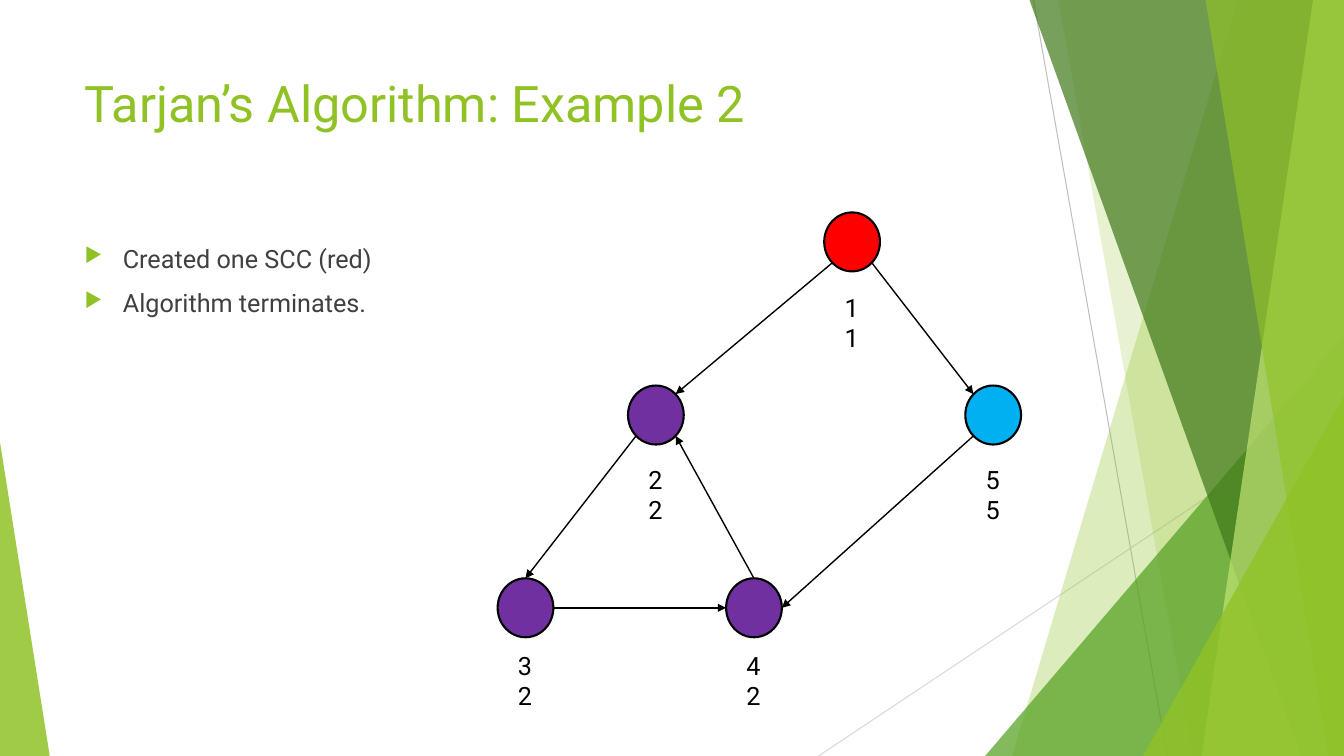
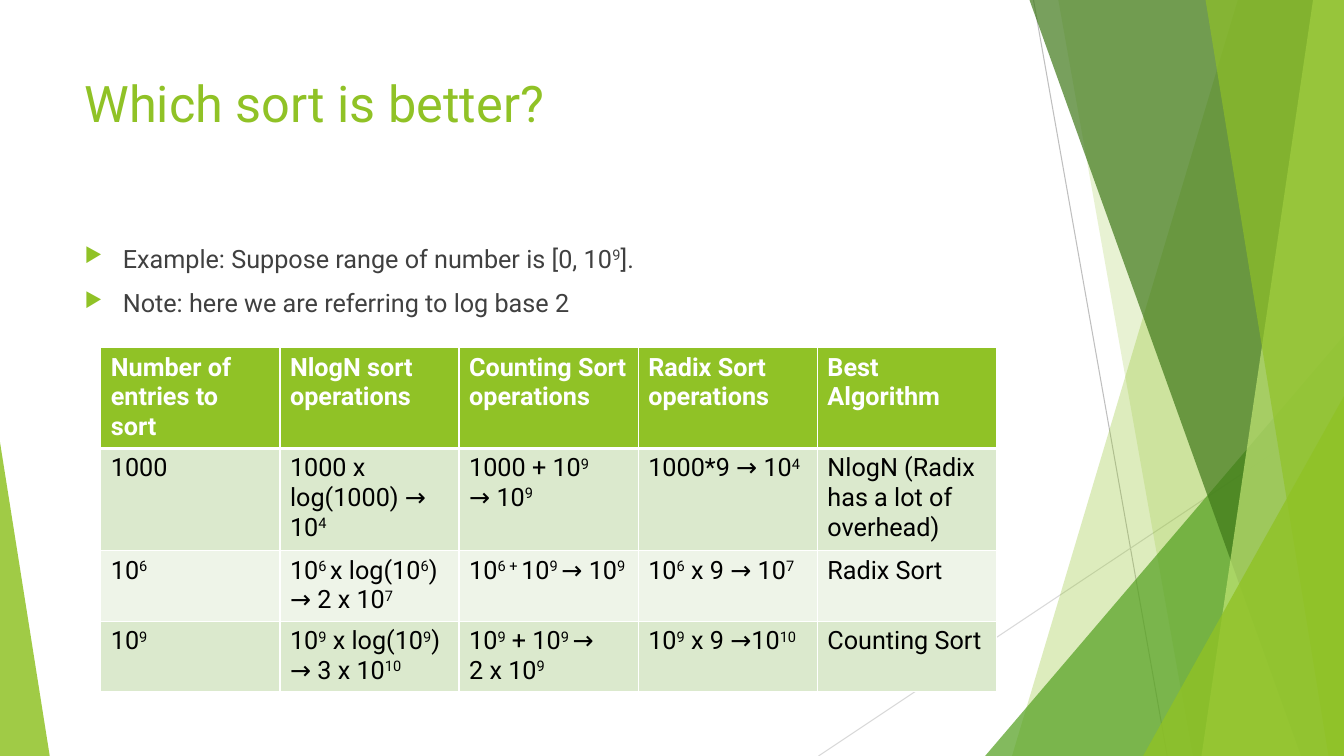
from lxml.etree import SubElement, Element
from pptx import Presentation
from pptx.dml.color import RGBColor
from pptx.enum.shapes import MSO_CONNECTOR as CONN, MSO_SHAPE as SHAPE
from pptx.oxml.ns import qn
from pptx.util import Emu, Inches, Pt

W, H = Inches(13.333), Inches(7.5)
COLORS = {
    "lime": "90C226", "leaf": "54A021", "forest": "3F7819", "pale": "C0E474",
    "grey": "BFBFBF", "silver": "D9D9D9", "text": "404040", "black": "000000",
    "white": "FFFFFF", "purple": "7030A0", "red": "FF0000", "blue": "00B0F0",
    "band": "DBE9CD", "light": "EEF4E8",
}
BASE = {"name": "Roboto", "size": Pt(18)}
FORMATS = {
    "title": ("lime", {**BASE, "size": Pt(36)}),
    "body": ("text", BASE),
    "label": ("black", BASE),
    "head": ("white", {**BASE, "bold": True}),
    "cell": ("black", {**BASE, "bold": False}),
}
LEFT, WIDE = 5.55, 70.5
NODE_W, NODE_H = 4.15, 7.8
SITES = {"n": (0, -1), "e": (1, 0), "w": (-1, 0), "ne": (0.71, -0.71),
         "nw": (-0.71, -0.71), "se": (0.71, 0.71), "sw": (-0.71, 0.71)}

RAYS = [((76.9, 0), (86.85, 100), "grey"), ((100, 53.7), (60.9, 100), "silver")]
FACETS = [
    ("band", 92.1, 75.3, "lime", 30),
    ("band", 78.75, 88.75, "lime", 20),
    ("corner", 73.3, 44.4, "leaf", 72),
    ("band", 76.6, 96.8, "forest", 70),
    ("band", 97.7, 89.4, "pale", 70),
    ("band", 89.7, 98.85, "lime", 65),
    ("corner", 85.05, 52.4, "lime", 80),
]
NODES = {
    2: (48.8, 54.9, "purple", 60.7, "2\n2"),
    1: (63.4, 32, "red", 38, "1\n1"),
    5: (73.9, 54.9, "blue", 60.7, "5\n5"),
    4: (56.1, 80.4, "purple", 85.3, "4\n2"),
    3: (39.1, 80.4, "purple", 85.3, "3\n2"),
}
EDGES = [(1, "sw", 2, "ne"), (2, "sw", 3, "n"), (3, "e", 4, "w"),
         (4, "n", 2, "se"), (5, "sw", 4, "e"), (1, "se", 5, "nw")]
SORTS = [
    ["Number of entries to sort", "NlogN sort operations", "Counting Sort operations",
     "Radix Sort operations", "Best Algorithm"],
    ["1000", "1000 x log(1000) → 10^4", "1000 + 10^9^\n→ 10^9", "1000*9 → 10^4",
     "NlogN (Radix has a lot of overhead)"],
    ["10^6", "10^6 ^x log(10^6^) → 2 x 10^7", "10^6 + ^10^9 ^→ 10^9",
     "10^6^ x 9 → 10^7", "Radix Sort"],
    ["10^9", "10^9^ x log(10^9^) → 3 x 10^10", "10^9^ + 10^9 ^→\n2 x 10^9",
     "10^9^ x 9 →10^10", "Counting Sort"],
]


def col(share):
    """Turn a percentage of the slide's width into a length."""
    return Emu(round(W * share / 100))


def row(share):
    """Turn a percentage of the slide's height into a length."""
    return Emu(round(H * share / 100))


def box(x, y, w, h):
    """Turn four percentages into left, top, width and height."""
    return col(x), row(y), col(w), row(h)


def rgb(name):
    """Look up a named colour."""
    return RGBColor.from_string(COLORS[name])


def write(tf, text, kind):
    """Write lines as paragraphs; carets switch superscript on and off."""
    color, fmt = FORMATS[kind]
    for i, line in enumerate(text.split("\n")):
        p = tf.add_paragraph() if i else tf.paragraphs[0]
        for j, part in enumerate(line.split("^")):
            if not part:
                continue
            r = p.add_run()
            r.text = part
            for key, value in fmt.items():
                setattr(r.font, key, value)
            r.font.color.rgb = rgb(color)
            if j % 2:
                r.font._element.set("baseline", "30000")


def add_text(s, area, text, kind, wrap=True):
    """Add a text box and return its frame."""
    tf = s.shapes.add_textbox(*box(*area)).text_frame
    tf.word_wrap = wrap
    write(tf, text, kind)
    return tf


def add_bullets(s, area, text):
    """Add a list with triangular bullets."""
    for i, p in enumerate(add_text(s, area, text, "body").paragraphs):
        p.space_before = Pt(10 if i else 0)
        pPr = p._p.get_or_add_pPr()
        pPr.set("marL", str(Inches(0.38)))
        pPr.set("indent", str(-Inches(0.38)))
        SubElement(SubElement(pPr, qn("a:buClr")), qn("a:srgbClr"), val=COLORS["lime"])
        SubElement(pPr, qn("a:buSzPct"), val="80000")
        SubElement(pPr, qn("a:buChar"), char="▶")


def paint(sp, color, alpha=100, outline=None):
    """Fill a shape, with optional transparency and outline."""
    sp.shadow.inherit = False
    sp.fill.solid()
    sp.fill.fore_color.rgb = rgb(color)
    if alpha < 100:
        clr = sp._element.spPr.find(".//" + qn("a:srgbClr"))
        SubElement(clr, qn("a:alpha"), val=str(alpha * 1000))
    if outline:
        sp.line.color.rgb = rgb(outline)
        sp.line.width = Pt(1.5)
    else:
        sp.line.fill.background()


def add_line(s, start, end, color, width, arrow=False):
    """Add a straight line, with an arrowhead if asked."""
    sp = s.shapes.add_connector(CONN.STRAIGHT, col(start[0]), row(start[1]),
                                col(end[0]), row(end[1]))
    sp.line.color.rgb = rgb(color)
    sp.line.width = Pt(width)
    if arrow:
        SubElement(sp.line._get_or_add_ln(), qn("a:tailEnd"), type="triangle")
    SubElement(sp._element.spPr, qn("a:effectLst"))


def add_band(s, top, bottom, color, alpha):
    """Add a full-height band from a slanted edge to the right side."""
    fb = s.shapes.build_freeform(col(top), 0)
    fb.add_line_segments([(W, 0), (W, H), (col(bottom), H)])
    paint(fb.convert_to_shape(), color, alpha)


def add_corner(s, x, y, w, peak, color, alpha):
    """Add a right triangle standing on the bottom edge."""
    sp = s.shapes.add_shape(SHAPE.ISOSCELES_TRIANGLE, *box(x, y, w, 100 - y))
    sp.adjustments[0] = peak
    paint(sp, color, alpha)


def add_slide(prs, title):
    """Add a slide with the shared facets and title."""
    s = prs.slides.add_slide(prs.slide_layouts[6])
    for start, end, color in RAYS:
        add_line(s, start, end, color, 0.75)
    for kind, x, other, color, alpha in FACETS:
        if kind == "band":
            add_band(s, x, other, color, alpha)
        else:
            add_corner(s, x, other, 100 - x, 1, color, alpha)
    add_corner(s, 0, 58.5, 3.7, 0, "lime", 85)
    add_text(s, (LEFT, 8.9, WIDE, 19.2), title, "title")
    return s


def site(node, side):
    """Find the point on a node's rim that faces a side."""
    x, y = NODES[node][:2]
    dx, dy = SITES[side]
    return x + dx * NODE_W / 2, y + dy * NODE_H / 2


def add_graph(s):
    """Draw the nodes, their labels and the edges."""
    for x, y, color, label_y, label in NODES.values():
        area = box(x - NODE_W / 2, y - NODE_H / 2, NODE_W, NODE_H)
        paint(s.shapes.add_shape(SHAPE.OVAL, *area), color, outline="black")
        add_text(s, (x - 1.3, label_y, 2.6, 9.4), label, "label", wrap=False)
    for a, a_side, b, b_side in EDGES:
        add_line(s, site(a, a_side), site(b, b_side), "black", 1, arrow=True)


def set_borders(cell, widths):
    """Give a cell white left, right, top and bottom borders."""
    tcPr = cell._tc.get_or_add_tcPr()
    for i, (side, width) in enumerate(zip("LRTB", widths)):
        ln = Element(qn(f"a:ln{side}"), w=str(Pt(width)))
        SubElement(SubElement(ln, qn("a:solidFill")), qn("a:srgbClr"), val=COLORS["white"])
        tcPr.insert(i, ln)


def add_grid(s, x, y, width, heights, rows):
    """Add a table with a header row and banded body rows."""
    area = box(x, y, width * len(rows[0]), sum(heights))
    table = s.shapes.add_table(len(rows), len(rows[0]), *area).table
    table.horz_banding = False
    for c in table.columns:
        c.width = col(width)
    for i, (height, texts) in enumerate(zip(heights, rows)):
        table.rows[i].height = row(height)
        fill = ("light", "band")[i % 2] if i else "lime"
        for j, text in enumerate(texts):
            cell = table.cell(i, j)
            write(cell.text_frame, text, "cell" if i else "head")
            cell.fill.solid()
            cell.fill.fore_color.rgb = rgb(fill)
            set_borders(cell, (1, 1, 3 if i == 1 else 1, 1 if i else 3))


def main():
    """Build both slides and save them."""
    prs = Presentation()
    prs.slide_width, prs.slide_height = W, H
    s = add_slide(prs, "Tarjan’s Algorithm: Example 2")
    add_graph(s)
    add_bullets(s, (LEFT, 31.5, 27.6, 63.2), "Created one SCC (red)\nAlgorithm terminates.")
    s = add_slide(prs, "Which sort is better?")
    add_bullets(s, (LEFT, 31.5, WIDE, 56.5),
                "Example: Suppose range of number is [0, 10^9^].\n"
                "Note: here we are referring to log base 2")
    add_grid(s, 7.5, 46, 13.33, (12.9, 13.5, 9.1, 9.1), SORTS)
    prs.save("out.pptx")


if __name__ == "__main__":
    main()
